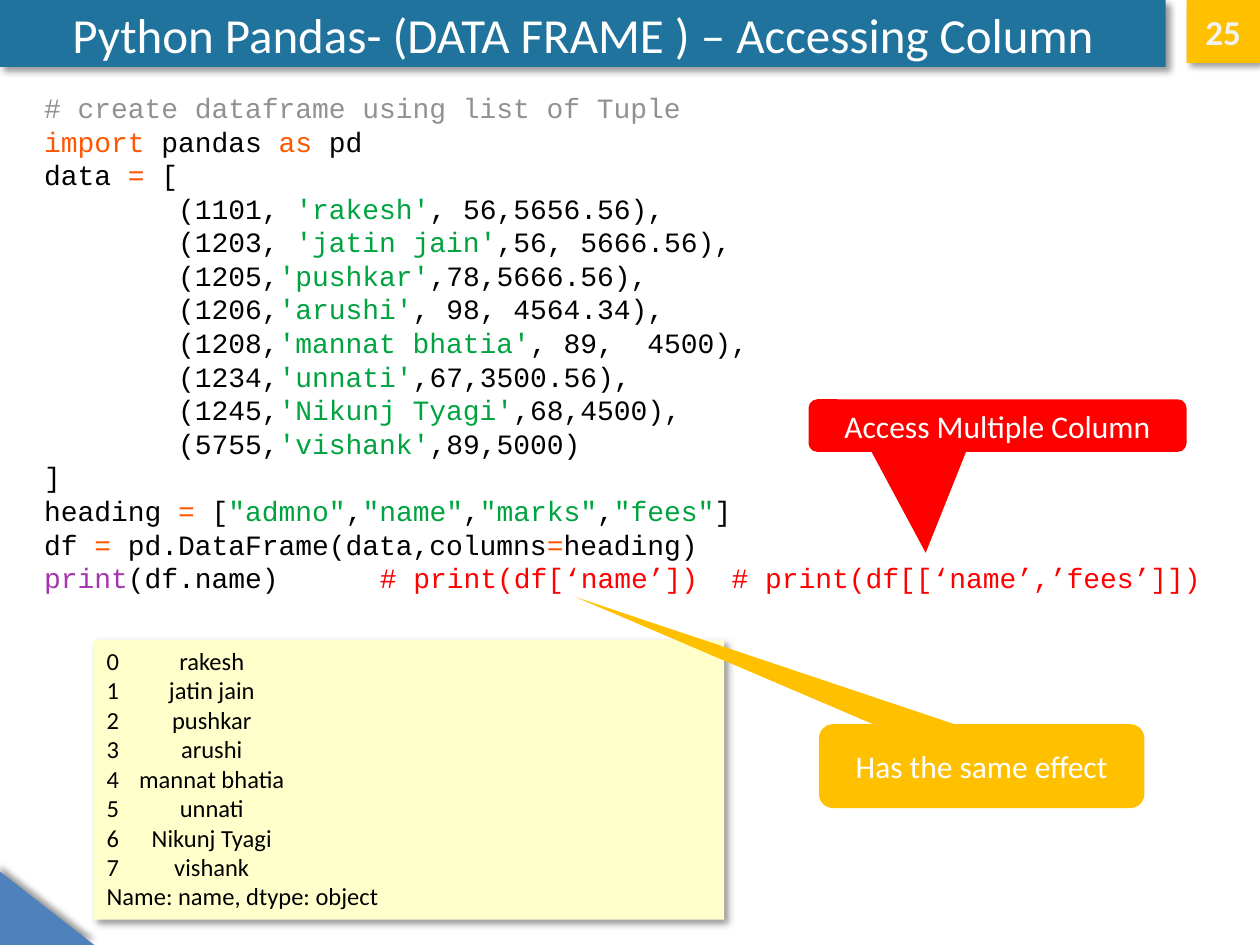
"""Build a slide on accessing the columns of a pandas data frame."""
from lxml.etree import SubElement
from pptx import Presentation
from pptx.dml.color import RGBColor
from pptx.enum.shapes import MSO_SHAPE as Preset
from pptx.enum.text import MSO_ANCHOR as Anchor, MSO_AUTO_SIZE as AutoSize, PP_ALIGN as Align
from pptx.oxml.ns import qn
from pptx.util import Cm, Pt

TEAL = RGBColor(0x20, 0x73, 0x9C)
BLUE = RGBColor(0x4F, 0x81, 0xBD)
AMBER = RGBColor(0xFF, 0xC0, 0x00)
CREAM = RGBColor(0xFF, 0xFF, 0xCC)
WHITE = RGBColor(0xFF, 0xFF, 0xFF)
PALE = RGBColor(0xF2, 0xF2, 0xF2)
BLACK = RGBColor(0x00, 0x00, 0x00)
RED = RGBColor(0xFF, 0x00, 0x00)
GREY = RGBColor(0x91, 0x91, 0x91)
ORANGE = RGBColor(0xFF, 0x56, 0x00)
GREEN = RGBColor(0x00, 0xA3, 0x3F)
PURPLE = RGBColor(0xA5, 0x35, 0xAE)

STUDENTS = [
    ("1101, ", "rakesh", ", 56,5656.56),"),
    ("1203, ", "jatin jain", ",56, 5666.56),"),
    ("1205,", "pushkar", ",78,5666.56),"),
    ("1206,", "arushi", ", 98, 4564.34),"),
    ("1208,", "mannat bhatia", ", 89,  4500),"),
    ("1234,", "unnati", ",67,3500.56),"),
    ("1245,", "Nikunj Tyagi", ",68,4500),"),
    ("5755,", "vishank", ",89,5000)"),
]
HEADINGS = ["admno", "name", "marks", "fees"]


def code_lines():
    """Return the program as lines of (text, colour) spans."""
    records = [
        [(" " * 8 + "(" + number, BLACK), (f"'{name}'", GREEN), (rest, BLACK)]
        for number, name, rest in STUDENTS
    ]
    headings = []
    for heading in HEADINGS:
        headings += [(f'"{heading}"', GREEN), (",", BLACK)]
    headings[-1] = ("]", BLACK)
    return [
        [("# create dataframe using list of Tuple", GREY)],
        [("import", ORANGE), (" pandas ", BLACK), ("as", ORANGE), (" pd", BLACK)],
        [("data ", BLACK), ("=", ORANGE), (" [", BLACK)],
        *records,
        [("]", BLACK)],
        [("heading ", BLACK), ("=", ORANGE), (" [", BLACK), *headings],
        [("df ", BLACK), ("= ", ORANGE), ("pd.DataFrame(data,columns", BLACK),
         ("=", ORANGE), ("heading)", BLACK)],
        [("print", PURPLE), ("(df.name)\t", BLACK),
         ("# print(df[‘name’])  # print(df[[‘name’,’fees’]])", RED)],
    ]


def place(shape, left, top, width, height):
    """Move and size a shape in centimetres."""
    shape.left, shape.top = Cm(left), Cm(top)
    shape.width, shape.height = Cm(width), Cm(height)


def paint(shape, colour, shadow_angle=None):
    """Give a shape a plain fill and, if an angle is given, a soft shadow."""
    shape.fill.solid()
    shape.fill.fore_color.rgb = colour
    shape.line.fill.background()
    shape.shadow.inherit = False
    if shadow_angle is not None:
        effects = shape._element.spPr.find(qn("a:effectLst"))
        shadow = SubElement(effects, qn("a:outerShdw"), blurRad=str(Pt(4)), dist=str(Pt(3)),
                            dir=str(shadow_angle * 60000), algn="tl", rotWithShape="0")
        shade = SubElement(shadow, qn("a:srgbClr"), val=str(BLACK))
        SubElement(shade, qn("a:alpha"), val="40000")


def add_block(page, preset, bounds, colour, shadow_angle=None):
    """Add a filled preset shape."""
    block = page.shapes.add_shape(preset, *map(Cm, bounds))
    paint(block, colour, shadow_angle)
    return block


def set_font(para, name, size, colour=None, bold=False):
    """Set the font shared by a whole paragraph."""
    para.font.name, para.font.size, para.font.bold = name, Pt(size), bold
    if colour is not None:
        para.font.color.rgb = colour


def write_label(shape, text, size, colour=WHITE, bold=False):
    """Write one centred line in a shape."""
    frame = shape.text_frame
    frame.text = text
    frame.word_wrap = True
    frame.auto_size = AutoSize.NONE
    frame.vertical_anchor = Anchor.MIDDLE
    para = frame.paragraphs[0]
    para.alignment = Align.CENTER
    set_font(para, "Calibri", size, colour, bold)


def write_lines(shape, lines, font, size, tab, tab_align):
    """Write lines of coloured spans with one tab stop."""
    frame = shape.text_frame
    frame.word_wrap = True
    frame.vertical_anchor = Anchor.TOP
    for index, spans in enumerate(lines):
        para = frame.add_paragraph() if index else frame.paragraphs[0]
        para.alignment = Align.LEFT
        stops = SubElement(para._p.get_or_add_pPr(), qn("a:tabLst"))
        SubElement(stops, qn("a:tab"), pos=str(Cm(tab)), algn=tab_align)
        set_font(para, font, size)
        for text, colour in spans:
            span = para.add_run()
            span.text = text
            span.font.color.rgb = colour


def add_callout(page, bounds, tip, colour, text):
    """Add a rounded callout whose tip is given relative to its size."""
    callout = add_block(page, Preset.ROUNDED_RECTANGULAR_CALLOUT, bounds, colour)
    callout.adjustments[0], callout.adjustments[1] = tip
    write_label(callout, text, 18)


def main():
    """Build and save the deck."""
    deck = Presentation()
    deck.slide_width, deck.slide_height = Cm(25.4), Cm(19.05)
    page = deck.slides.add_slide(deck.slide_layouts[5])

    title = page.shapes.title
    place(title, 0, 0, 23.5, 1.35)
    paint(title, TEAL, 45)
    write_label(title, "Python Pandas- (DATA FRAME ) – Accessing Column", 28)

    add_block(page, Preset.RIGHT_TRIANGLE, (0, 17.57, 1.9, 1.48), BLUE, 270)
    number = add_block(page, Preset.RECTANGLE, (23.92, 0, 1.48, 1.27), AMBER, 45)
    write_label(number, "25", 20, PALE, True)

    code = page.shapes.add_textbox(Cm(0.64), Cm(1.7), Cm(23.93), Cm(10.52))
    code.text_frame.margin_right = 0
    write_lines(code, code_lines(), "Courier New", 16, 6.77, "l")

    output = add_block(page, Preset.RECTANGLE, (1.9, 12.9, 12.7, 5.64), CREAM, 45)
    names = [[(f"{index}\t{name}", BLACK)] for index, (_, name, _) in enumerate(STUDENTS)]
    summary = [("Name: name, dtype: object", BLACK)]
    write_lines(output, [*names, summary], "Calibri", 14, 2.12, "ctr")

    add_callout(page, (16.3, 8.05, 7.62, 1.06), (-0.19, 2.42), RED, "Access Multiple Column")
    add_callout(page, (16.51, 14.6, 6.56, 1.69), (-1.25, -2.02), AMBER, "Has the same effect")

    deck.save("out.pptx")


if __name__ == "__main__":
    main()
